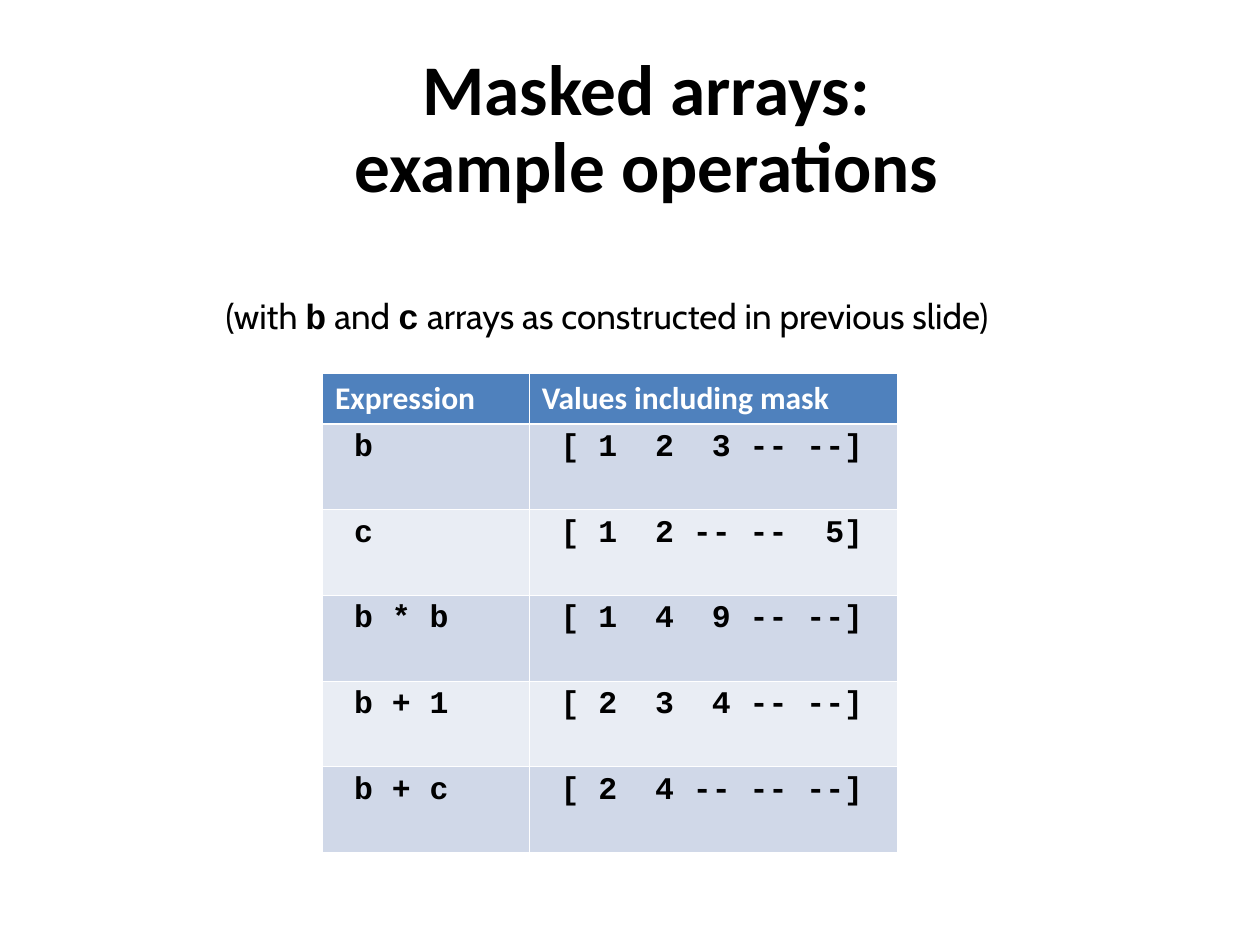
"""Build a slide that tabulates example operations on masked arrays."""
from typing import NamedTuple

from lxml import etree
from pptx import Presentation
from pptx.dml.color import RGBColor
from pptx.enum.text import MSO_ANCHOR, MSO_AUTO_SIZE, PP_ALIGN
from pptx.oxml.ns import qn
from pptx.util import Inches, Pt

CENTER, LEFT = PP_ALIGN.CENTER, PP_ALIGN.LEFT
MIDDLE, TOP = MSO_ANCHOR.MIDDLE, MSO_ANCHOR.TOP
NO_AUTOFIT = MSO_AUTO_SIZE.NONE
BLACK, WHITE, HEADER_BLUE = "000000", "FFFFFF", "4F81BD"
BAND_COLORS = ("D0D8E8", "E9EDF4")
PROSE, HEADING, CODE = "Cabin", "Calibri", "Courier New"
THIN, THICK = 0.45, 1.47
COLUMN_WIDTHS = (1.64, 2.92)
HEADER_HEIGHT, BODY_HEIGHT = 0.4, 0.68


class Run(NamedTuple):
    text: str
    font: str
    size: float
    bold: bool = True
    color: str = BLACK


class Operation(NamedTuple):
    expression: str
    values: str


HEADER = Operation("Expression", "Values including mask")
OPERATIONS = (
    Operation(" b", " [ 1  2  3 -- --]"),
    Operation(" c", " [ 1  2 -- --  5]"),
    Operation(" b * b", " [ 1  4  9 -- --]"),
    Operation(" b + 1", " [ 2  3  4 -- --]"),
    Operation(" b + c", " [ 2  4 -- -- --]"),
)
CAPTION = (
    Run("(with ", PROSE, 20, False),
    Run("b", CODE, 20),
    Run(" and ", PROSE, 20, False),
    Run("c", CODE, 20),
    Run(" arrays as constructed in previous slide)", PROSE, 20, False),
)


def rgb(color: str) -> RGBColor:
    return RGBColor.from_string(color)


def set_attributes(target, values: dict) -> None:
    for name, value in values.items():
        setattr(target, name, value)


def add_run(paragraph, content: Run) -> None:
    run = paragraph.add_run()
    run.text = content.text
    set_attributes(run.font, {"name": content.font, "size": Pt(content.size), "bold": content.bold})
    run.font.color.rgb = rgb(content.color)


def place(shape, left: float, top: float, width: float, height: float) -> None:
    lengths = {"left": left, "top": top, "width": width, "height": height}
    set_attributes(shape, {name: Inches(value) for name, value in lengths.items()})


def add_title(slide) -> None:
    title = slide.shapes.title
    place(title, 0.63, 0.3, 9, 1.48)
    set_attributes(title.text_frame, {
        "vertical_anchor": MIDDLE, "word_wrap": True, "auto_size": NO_AUTOFIT})
    paragraph = title.text_frame.paragraphs[0]
    set_attributes(paragraph, {"alignment": CENTER, "line_spacing": 0.9})
    add_run(paragraph, Run("Masked arrays:", HEADING, 40.7))
    paragraph.add_line_break()
    add_run(paragraph, Run("example operations", HEADING, 40.7))


def add_caption(slide) -> None:
    body = slide.placeholders[1]
    place(body, 1.77, 2.33, 7.32, 0.77)
    set_attributes(body.text_frame, {
        "margin_left": 0, "margin_top": 0, "margin_right": 0, "margin_bottom": 0,
        "vertical_anchor": TOP, "word_wrap": True, "auto_size": NO_AUTOFIT})
    paragraph = body.text_frame.paragraphs[0]
    set_attributes(paragraph, {
        "alignment": LEFT, "line_spacing": 1.03, "space_before": Pt(6)})
    properties = paragraph._p.get_or_add_pPr()
    properties.set("marL", str(Inches(0.02)))
    properties.set("indent", "0")
    etree.SubElement(properties, qn("a:buNone"))
    for content in CAPTION:
        add_run(paragraph, content)


def set_borders(cell, widths: dict[str, float]) -> None:
    properties = cell._tc.get_or_add_tcPr()
    for side, width in widths.items():
        line = etree.SubElement(properties, qn(f"a:ln{side}"), w=str(Pt(width)))
        fill = etree.SubElement(line, qn("a:solidFill"))
        etree.SubElement(fill, qn("a:srgbClr"), val=WHITE)


def fill_cell(cell, content: Run, fill: str, row: int) -> None:
    set_borders(cell, {
        "L": THIN, "R": THIN,
        "T": THICK if row == 1 else THIN,
        "B": THICK if row == 0 else THIN})
    cell.fill.solid()
    cell.fill.fore_color.rgb = rgb(fill)
    add_run(cell.text_frame.paragraphs[0], content)


def add_operations_table(slide) -> None:
    rows = (HEADER, *OPERATIONS)
    heights = [HEADER_HEIGHT] + [BODY_HEIGHT] * len(OPERATIONS)
    table = slide.shapes.add_table(
        len(rows), len(COLUMN_WIDTHS), Inches(2.56), Inches(2.96),
        Inches(sum(COLUMN_WIDTHS)), Inches(sum(heights))).table
    for column, width in zip(table.columns, COLUMN_WIDTHS):
        column.width = Inches(width)
    for index, (operation, height) in enumerate(zip(rows, heights)):
        table.rows[index].height = Inches(height)
        is_header = index == 0
        fill = HEADER_BLUE if is_header else BAND_COLORS[(index - 1) % 2]
        font, color = (HEADING, WHITE) if is_header else (CODE, BLACK)
        for cell, text in zip(table.rows[index].cells, operation):
            fill_cell(cell, Run(text, font, 18, color=color), fill, index)


def main() -> None:
    presentation = Presentation()
    set_attributes(presentation, {"slide_width": Inches(10), "slide_height": Inches(7.5)})
    slide = presentation.slides.add_slide(presentation.slide_layouts[1])
    add_title(slide)
    add_caption(slide)
    add_operations_table(slide)
    presentation.save("out.pptx")


if __name__ == "__main__":
    main()
